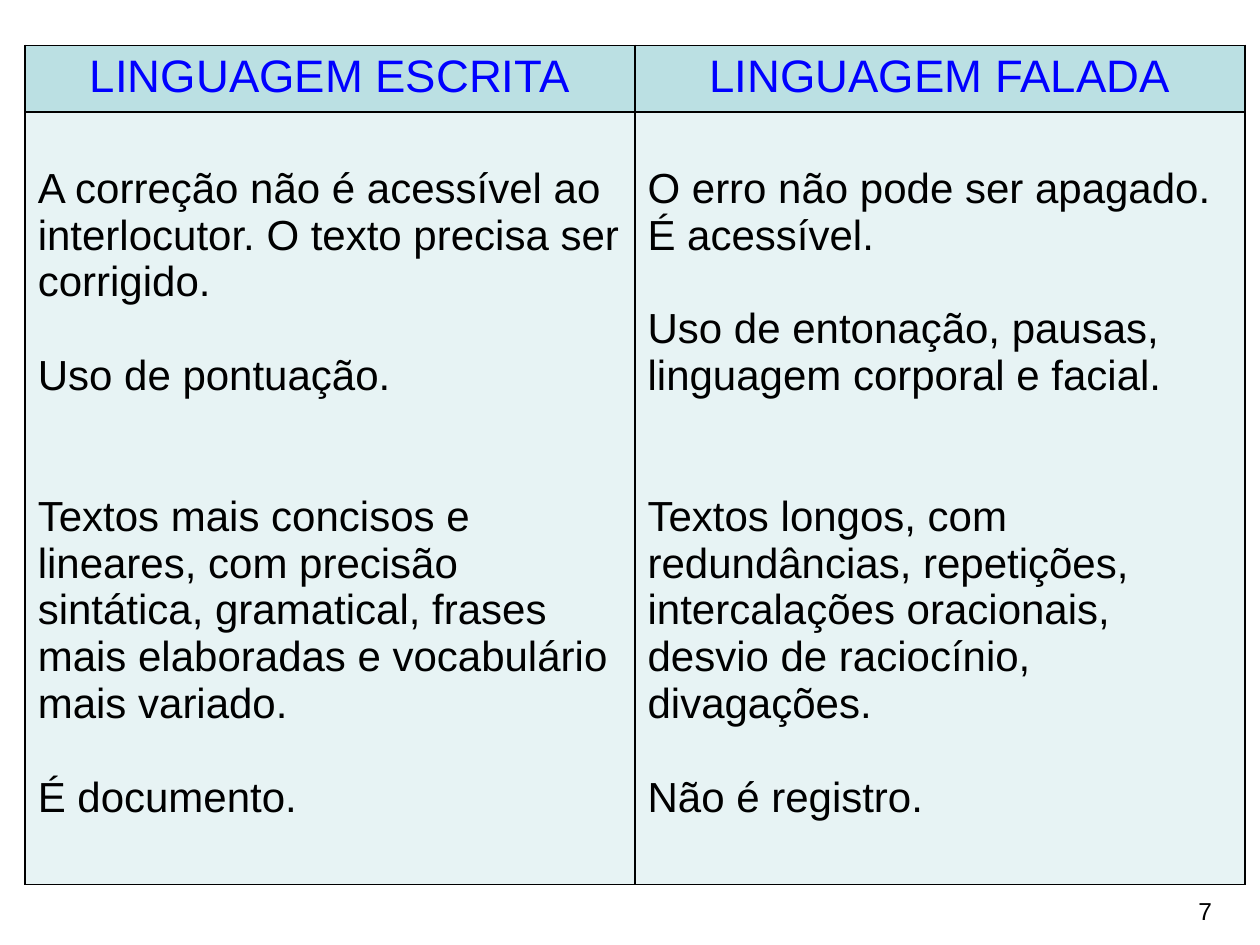
from lxml import etree
from pptx import Presentation
from pptx.dml.color import RGBColor
from pptx.enum.text import PP_ALIGN
from pptx.oxml.ns import qn
from pptx.util import Inches, Pt

CENTER, LEFT = PP_ALIGN.CENTER, PP_ALIGN.LEFT

THEME = {
    "font": "Arial",
    "heading_size": 26, "body_size": 24, "number_size": 14,
    "heading_color": "0000FF", "text_color": "000000", "border_color": "000000",
    "heading_fill": "BBE0E3", "body_fill": "E7F3F4",
}
BLANK_LINE = 26.8  # points, one line of body text

HEADINGS = ["LINGUAGEM ESCRITA", "LINGUAGEM FALADA"]
COLUMNS = [
    ["A correção não é acessível ao interlocutor. O texto precisa ser corrigido.",
     "Uso de pontuação.",
     "Textos mais concisos e lineares, com precisão sintática, gramatical, "
     "frases mais elaboradas e vocabulário mais variado.",
     "É documento."],
    ["O erro não pode ser apagado. É acessível.",
     "Uso de entonação, pausas, linguagem corporal e facial.",
     "Textos longos, com redundâncias, repetições, intercalações oracionais, "
     "desvio de raciocínio, divagações.",
     "Não é registro."],
]
LINES_BEFORE = [0, 1, 2, 1]


def write_paragraph(paragraph, text, role, color, alignment):
    paragraph.alignment = alignment
    run = paragraph.add_run()
    run.text = text
    run.font.name = THEME["font"]
    run.font.size = Pt(THEME[role + "_size"])
    run.font.bold = False
    run.font.color.rgb = RGBColor.from_string(THEME[color])


def style_cell(cell, fill):
    cell.fill.solid()
    cell.fill.fore_color.rgb = RGBColor.from_string(THEME[fill])
    properties = cell._tc.get_or_add_tcPr()
    for position, side in enumerate(["a:lnL", "a:lnR", "a:lnT", "a:lnB"]):
        line = etree.Element(qn(side), w=str(Pt(1)))
        solid = etree.SubElement(line, qn("a:solidFill"))
        etree.SubElement(solid, qn("a:srgbClr"), val=THEME["border_color"])
        properties.insert(position, line)


presentation = Presentation()
presentation.slide_width, presentation.slide_height = Inches(10), Inches(7.5)
slide = presentation.slides.add_slide(presentation.slide_layouts[6])

# Comparison table
column_width, row_heights = 4.84, [0.53, 6.13]
table = slide.shapes.add_table(
    2, 2, Inches(0.2), Inches(0.36),
    Inches(2 * column_width), Inches(sum(row_heights))).table
for row, height in zip(table.rows, row_heights):
    row.height = Inches(height)

for index, (heading, statements) in enumerate(zip(HEADINGS, COLUMNS)):
    table.columns[index].width = Inches(column_width)

    # Heading
    heading_cell = table.cell(0, index)
    style_cell(heading_cell, "heading_fill")
    write_paragraph(heading_cell.text_frame.paragraphs[0], heading,
                    "heading", "heading_color", CENTER)

    # Statements, starting one line below the top edge
    body_cell = table.cell(1, index)
    style_cell(body_cell, "body_fill")
    body_cell.margin_top = Inches(0.05) + Pt(BLANK_LINE)
    frame = body_cell.text_frame
    for number, (statement, lines) in enumerate(zip(statements, LINES_BEFORE)):
        paragraph = frame.add_paragraph() if number else frame.paragraphs[0]
        paragraph.space_before = Pt(lines * BLANK_LINE)
        write_paragraph(paragraph, statement, "body", "text_color", LEFT)

# Page number
page_number = slide.shapes.add_textbox(
    Inches(9.25), Inches(7.06), Inches(0.63), Inches(0.34))
page_number.text_frame.word_wrap = True
write_paragraph(page_number.text_frame.paragraphs[0], "7",
                "number", "text_color", CENTER)

presentation.save("out.pptx")
